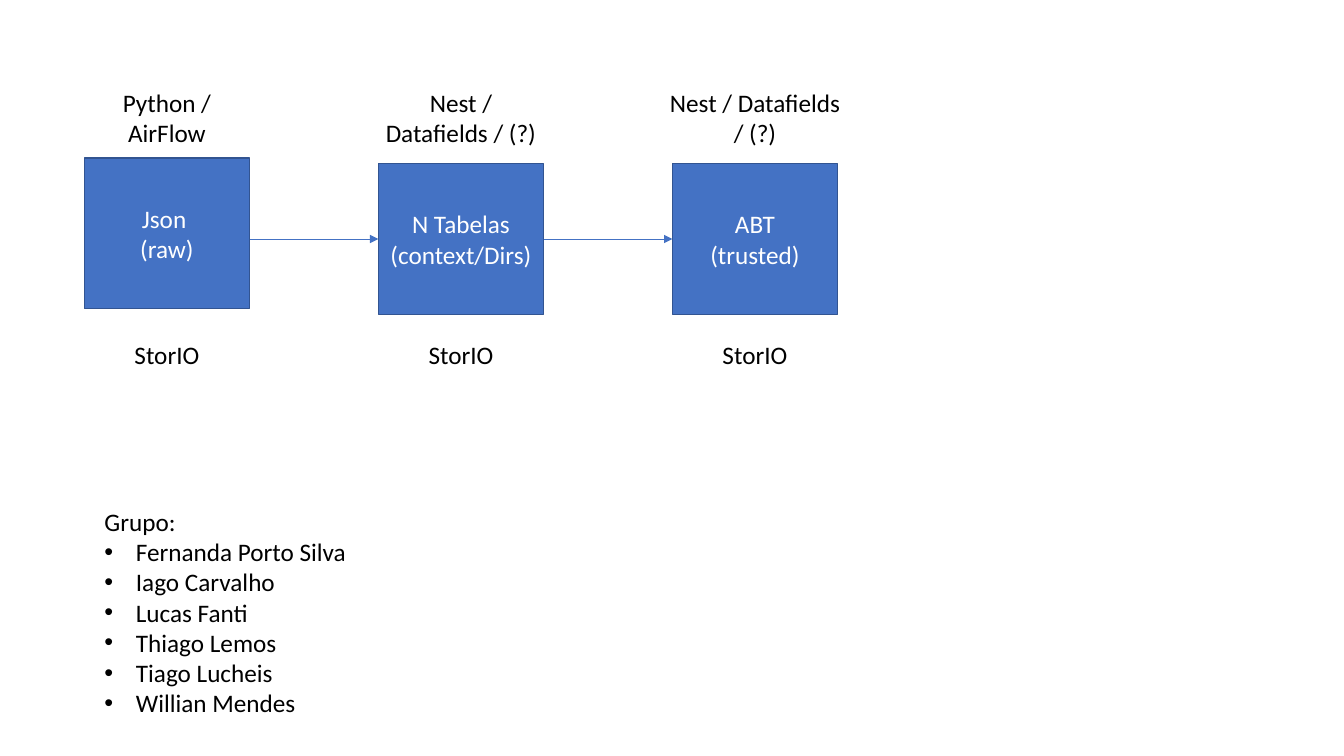
from lxml.etree import SubElement
from pptx import Presentation
from pptx.dml.color import RGBColor
from pptx.enum.shapes import MSO_CONNECTOR, MSO_SHAPE
from pptx.enum.text import MSO_ANCHOR, MSO_AUTO_SIZE, PP_ALIGN
from pptx.oxml.ns import qn
from pptx.util import Pt

COLORS = {"fill": "4472C4", "edge": "325491", "light": "FFFFFF", "dark": "000000"}


class Page:
    font, size = "Calibri", 18

    def __init__(self, deck):
        self.slide = deck.slides.add_slide(deck.slide_layouts[6])

    def color(self, name):
        return RGBColor.from_string(COLORS[name])

    def add_lines(self, frame, lines, color, align):
        frame.word_wrap = True
        for index, line in enumerate(lines):
            para = frame.paragraphs[0] if index == 0 else frame.add_paragraph()
            para.alignment = align
            span = para.add_run()
            span.text = line
            span.font.name, span.font.size = self.font, Pt(self.size)
            span.font.color.rgb = self.color(color)

    def label(self, left, top, width, height, lines, align=PP_ALIGN.CENTER):
        box = self.slide.shapes.add_textbox(Pt(left), Pt(top), Pt(width), Pt(height))
        self.add_lines(box.text_frame, lines, "dark", align)
        box.text_frame.auto_size = MSO_AUTO_SIZE.SHAPE_TO_FIT_TEXT
        return box

    def bullets(self, left, top, width, height, heading, items):
        box = self.label(left, top, width, height, [heading, *items], PP_ALIGN.LEFT)
        for para in box.text_frame.paragraphs[1:]:
            props = para._p.get_or_add_pPr()
            props.set("marL", str(Pt(22.5)))
            props.set("indent", str(Pt(-22.5)))
            SubElement(props, qn("a:buFont"), typeface="Arial")
            SubElement(props, qn("a:buChar"), char="•")

    def block(self, left, top, width, height, lines):
        box = self.slide.shapes.add_shape(
            MSO_SHAPE.RECTANGLE, Pt(left), Pt(top), Pt(width), Pt(height))
        box.shadow.inherit = False
        box.fill.solid()
        box.fill.fore_color.rgb = self.color("fill")
        box.line.color.rgb = self.color("edge")
        box.line.width = Pt(1)
        box.text_frame.vertical_anchor = MSO_ANCHOR.MIDDLE
        self.add_lines(box.text_frame, lines, "light", PP_ALIGN.CENTER)

    def arrow(self, start, end, y):
        arrow = self.slide.shapes.add_connector(
            MSO_CONNECTOR.STRAIGHT, Pt(start), Pt(y), Pt(end), Pt(y))
        arrow.line.color.rgb = self.color("fill")
        arrow.line.width = Pt(0.5)
        props = arrow._element.spPr
        SubElement(props.find(qn("a:ln")), qn("a:tailEnd"), type="triangle")
        SubElement(props, qn("a:effectLst"))


deck = Presentation()
deck.slide_width, deck.slide_height = Pt(960), Pt(540)
page = Page(deck)

# Pipeline stages: tool above, block, storage below
LEFT, PITCH, WIDTH, HEIGHT = 60.25, 210, 118, 107.5
stages = [
    ("Python / AirFlow", 118, 113, ["Json ", "(raw)"]),
    ("Nest / Datafields / (?)", 128, 117, ["N Tabelas", "(context/Dirs)"]),
    ("Nest / Datafields / (?)", 137, 117, ["ABT", "(trusted)"]),
]
for index, (tool, tool_width, top, lines) in enumerate(stages):
    left = LEFT + index * PITCH
    page.label(left + (WIDTH - tool_width) / 2, 59, tool_width, 51, [tool])
    page.block(left, top, WIDTH, HEIGHT, lines)
    page.label(left, 239, WIDTH, 29, ["StorIO"])
    if index:
        page.arrow(left - PITCH + WIDTH, left, 170.75)

# Group members
page.bullets(67.5, 358, 317.5, 160, "Grupo:", [
    "Fernanda Porto Silva", "Iago Carvalho", "Lucas Fanti",
    "Thiago Lemos", "Tiago Lucheis", "Willian Mendes"])

deck.save("out.pptx")
